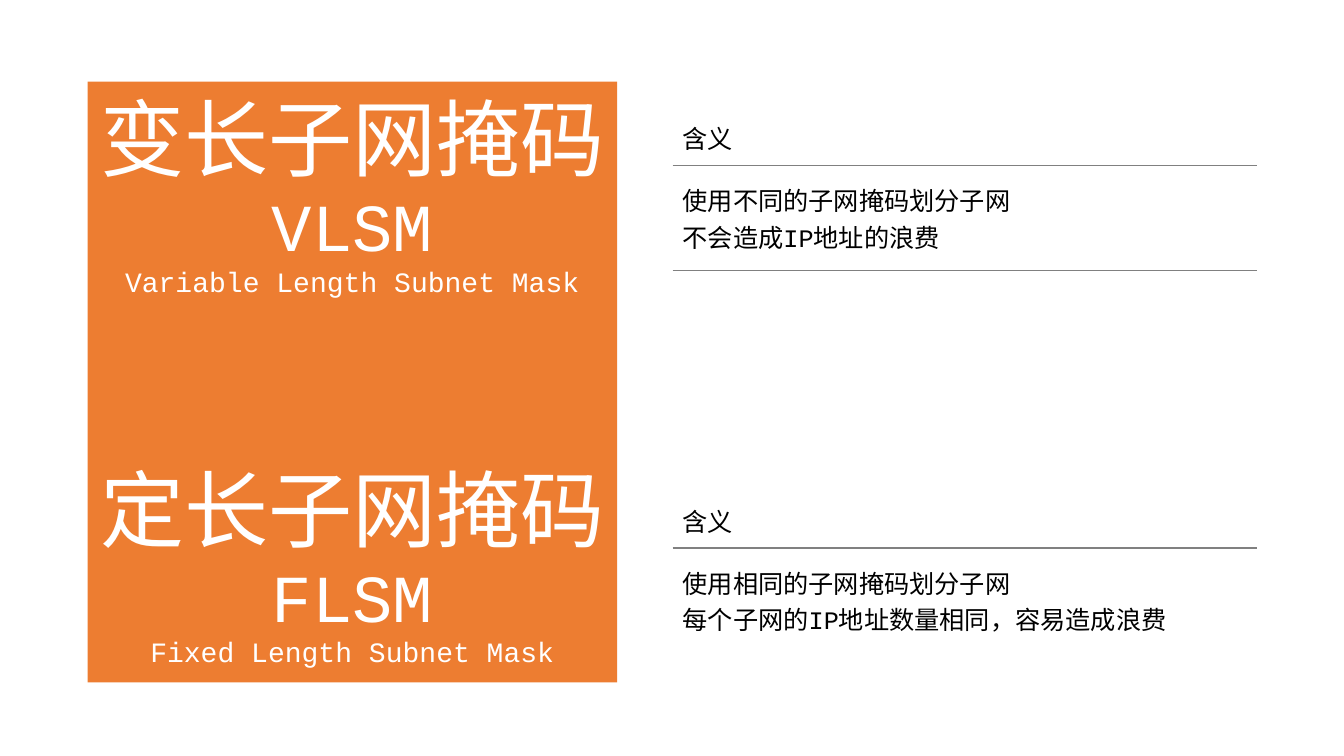
import pptx
import pptx.dml.color
import pptx.enum.shapes
import pptx.enum.text
import pptx.oxml
import pptx.oxml.ns
import pptx.util
from pptx.util import Inches

ORANGE = pptx.dml.color.RGBColor(0xED, 0x7D, 0x31)
WHITE = pptx.dml.color.RGBColor(0xFF, 0xFF, 0xFF)
BLACK = pptx.dml.color.RGBColor(0x00, 0x00, 0x00)
GRAY = pptx.dml.color.RGBColor(0x80, 0x80, 0x80)
LATIN_FONT = "Courier New"
CHINESE_FONT = "Noto Sans CJK SC"
NO_STYLE = "{2D5ABB26-0587-4C30-8999-92F81FD0307C}"

PANEL_LEFT, PANEL_TOP, PANEL_WIDTH, PANEL_HEIGHT = 0.87, 0.81, 5.25, 5.96
HEADER_HEIGHT, BODY_HEIGHT = 0.55, 0.41

MASKS = [
    (0.81, ["变长子网掩码", "VLSM", "Variable Length Subnet Mask"], [5.25, 1.81, 4.75]),
    (4.49, ["定长子网掩码", "FLSM", "Fixed Length Subnet Mask"], [5.25, 1.81, 4.24]),
]
LINE_STYLES = [
    (0, 1.11, 60, CHINESE_FONT),
    (0.97, 0.91, 48, LATIN_FONT),
    (1.76, 0.44, 20, LATIN_FONT),
]
MEANINGS = {
    0: ["使用不同的子网掩码划分子网", "不会造成IP地址的浪费"],
    6: ["使用相同的子网掩码划分子网", "每个子网的IP地址数量相同，容易造成浪费"],
}


def apply_format(target, values):
    for name, value in values.items():
        setattr(target, name, value)


def format_run(run, size, font_name, color):
    apply_format(run.font, {"size": pptx.util.Pt(size), "name": font_name})
    run.font.color.rgb = color
    east_asian = pptx.oxml.parse_xml(
        f'<a:ea {pptx.oxml.ns.nsdecls("a")} typeface="{CHINESE_FONT}"/>')
    run.font._element.find(pptx.oxml.ns.qn("a:latin")).addnext(east_asian)


def add_panel(slide):
    shape = slide.shapes.add_shape(
        pptx.enum.shapes.MSO_SHAPE.RECTANGLE, Inches(PANEL_LEFT), Inches(PANEL_TOP),
        Inches(PANEL_WIDTH), Inches(PANEL_HEIGHT))
    shape.shadow.inherit = False
    shape.fill.solid()
    shape.fill.fore_color.rgb = ORANGE
    shape.line.fill.background()


def add_mask_name(slide, top, lines, widths):
    group = slide.shapes.add_group_shape()
    center = PANEL_LEFT + PANEL_WIDTH / 2
    for text, width, (offset, height, size, font_name) in zip(lines, widths, LINE_STYLES):
        box = group.shapes.add_textbox(
            Inches(center - width / 2), Inches(top + offset), Inches(width), Inches(height))
        apply_format(box.text_frame, {
            "word_wrap": False,
            "auto_size": pptx.enum.text.MSO_AUTO_SIZE.SHAPE_TO_FIT_TEXT,
        })
        paragraph = box.text_frame.paragraphs[0]
        paragraph.alignment = pptx.enum.text.PP_ALIGN.CENTER
        run = paragraph.add_run()
        run.text = text
        format_run(run, size, font_name, WHITE)


def fill_cell(cell, lines, values):
    apply_format(cell, values)
    cell.text = "\n".join(lines)
    for paragraph in cell.text_frame.paragraphs:
        for run in paragraph.runs:
            format_run(run, 18, LATIN_FONT, BLACK)


def add_border(cell, side):
    border = pptx.oxml.parse_xml(
        f'<a:{side} {pptx.oxml.ns.nsdecls("a")} w="{pptx.util.Pt(1)}">'
        f'<a:solidFill><a:srgbClr val="{GRAY}"/></a:solidFill></a:{side}>')
    cell._tc.get_or_add_tcPr().insert(0, border)


def add_meaning_table(slide):
    frame = slide.shapes.add_table(
        8, 1, Inches(6.67), Inches(1.09), Inches(5.8), Inches(5.14))
    table = frame.table
    apply_format(table, {"first_row": False, "horz_banding": False})
    table._tbl.tblPr.find(pptx.oxml.ns.qn("a:tableStyleId")).text = NO_STYLE
    for index, row in enumerate(table.rows):
        is_body = index - 1 in MEANINGS
        row.height = Inches(BODY_HEIGHT if is_body else HEADER_HEIGHT)
        row.cells[0].fill.background()
    frame.height = Inches(5.14)
    for index, lines in MEANINGS.items():
        header, body = table.cell(index, 0), table.cell(index + 1, 0)
        fill_cell(header, ["含义"], {
            "vertical_anchor": pptx.enum.text.MSO_ANCHOR.MIDDLE})
        fill_cell(body, lines, {
            "margin_top": Inches(0.16), "margin_bottom": Inches(0.16)})
        add_border(header, "lnB")
        add_border(body, "lnT")


def main():
    presentation = pptx.Presentation()
    apply_format(presentation, {
        "slide_width": Inches(13.33), "slide_height": Inches(7.5)})
    slide = presentation.slides.add_slide(presentation.slide_layouts.get_by_name("Blank"))
    add_meaning_table(slide)
    add_panel(slide)
    for top, lines, widths in reversed(MASKS):
        add_mask_name(slide, top, lines, widths)
    presentation.save("out.pptx")


if __name__ == "__main__":
    main()
